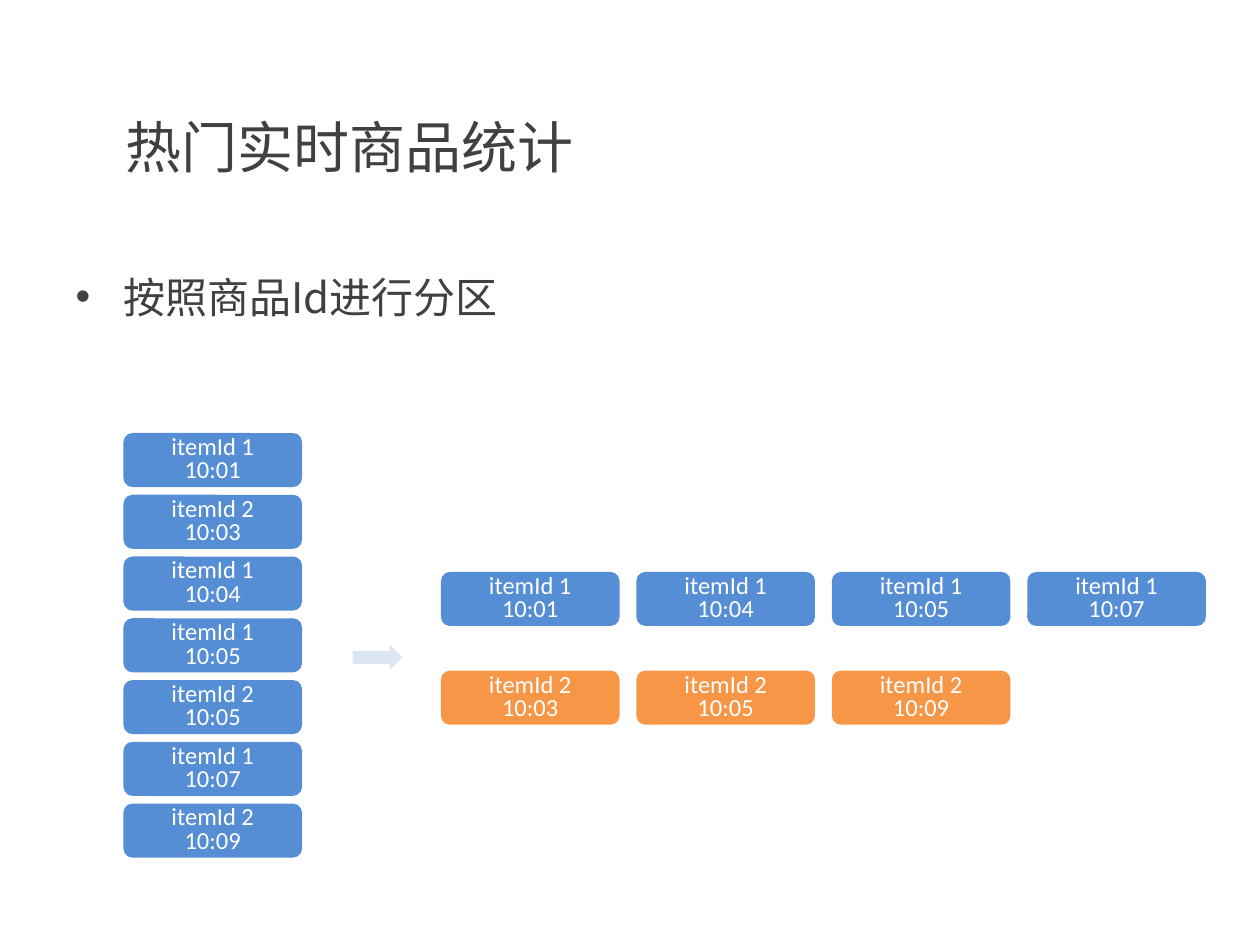
from collections import namedtuple
from copy import deepcopy

from lxml.etree import SubElement
from pptx import Presentation
from pptx.dml.color import RGBColor
from pptx.enum.shapes import MSO_SHAPE as Shape
from pptx.enum.text import MSO_ANCHOR as Anchor, MSO_AUTO_SIZE as AutoSize, PP_ALIGN as Align
from pptx.oxml.ns import qn
from pptx.util import Cm, Pt

Box = namedtuple("Box", "left top width height")

CJK_FONT, LATIN_FONT = "Noto Sans CJK SC", "Calibri"
DARK, WHITE, BLUE, ORANGE, PALE = "404040", "FFFFFF", "558ED5", "F79646", "DCE6F2"
EVENT_WIDTH, EVENT_HEIGHT = 3.6, 1.09
EVENTS = [
    (1, "10:01"), (2, "10:03"), (1, "10:04"), (1, "10:05"),
    (2, "10:05"), (1, "10:07"), (2, "10:09"),
]


def color(hex_value):
    """Turn a hex string into a colour."""
    return RGBColor.from_string(hex_value)


def place(part, box):
    """Move a shape to a box given in centimetres."""
    part.left, part.top, part.width, part.height = map(Cm, box)


def write(part, text, size, font=LATIN_FONT, ink=DARK, align=Align.LEFT,
          anchor=Anchor.MIDDLE, spacing=None, margin=0, indent=0):
    """Write one formatted paragraph; a newline becomes a line break."""
    frame = part.text_frame
    frame.word_wrap = True
    frame.auto_size = AutoSize.NONE
    frame.vertical_anchor = anchor
    paragraph = frame.paragraphs[0]
    paragraph.text = text.replace("\n", "\v")
    paragraph.alignment = align
    if spacing:
        paragraph.line_spacing = spacing
    properties = paragraph._p.get_or_add_pPr()
    properties.set("marL", str(Cm(margin)))
    properties.set("indent", str(Cm(indent)))
    for run in paragraph.runs:
        run.font.size = Pt(size)
        run.font.name = font
        run.font.color.rgb = color(ink)
        SubElement(run._r.rPr, qn("a:ea")).set("typeface", font)
    for line_break in paragraph._p.findall(qn("a:br")):
        line_break.append(deepcopy(paragraph.runs[0]._r.rPr))


def add_block(slide, kind, box, fill):
    """Add a flat filled shape without outline."""
    block = slide.shapes.add_shape(kind, *map(Cm, box))
    block.shadow.inherit = False
    block.fill.solid()
    block.fill.fore_color.rgb = color(fill)
    block.line.fill.background()
    return block


def add_event(slide, left, top, event, fill):
    """Add one event card with its item id and time."""
    item, time = event
    box = Box(left, top, EVENT_WIDTH, EVENT_HEIGHT)
    card = add_block(slide, Shape.ROUNDED_RECTANGLE, box, fill)
    write(card, f"itemId {item}\n{time}", 14, ink=WHITE, align=Align.CENTER, spacing=0.8)


def add_heading(slide, box):
    """Fill the title and the single bullet below it."""
    title, body = slide.shapes.title, slide.placeholders[1]
    place(title, box._replace(height=3.18))
    write(title, "热门实时商品统计", 32, CJK_FONT, indent=1)
    place(body, Box(box.left, box.top + box.height - 2.39, box.width, 2.39))
    write(body, "按照商品Id进行分区", 24, CJK_FONT, anchor=Anchor.TOP,
          spacing=2.0, margin=0.96, indent=-0.96)


def add_stream(slide, box):
    """Stack all events evenly from the top to the bottom of the box."""
    step = (box.height - EVENT_HEIGHT) / (len(EVENTS) - 1)
    for row, event in enumerate(EVENTS):
        add_event(slide, box.left, box.top + row * step, event, BLUE)


def add_partitions(slide, box):
    """Lay out the events in one row per item id."""
    rows = [[event for event in EVENTS if event[0] == item] for item in (1, 2)]
    step_x = (box.width - EVENT_WIDTH) / (max(map(len, rows)) - 1)
    step_y = box.height - EVENT_HEIGHT
    for row, (events, fill) in enumerate(zip(rows, (BLUE, ORANGE))):
        for column, event in enumerate(events):
            add_event(slide, box.left + column * step_x, box.top + row * step_y, event, fill)


def main():
    """Build and save the slide."""
    deck = Presentation()
    deck.slide_width, deck.slide_height = Cm(25.4), Cm(19.05)
    slide = deck.slides.add_slide(deck.slide_layouts[1])
    add_heading(slide, Box(1.27, 1.35, 22.86, 5.36))
    add_stream(slide, Box(2.49, 8.73, EVENT_WIDTH, 8.56))
    add_partitions(slide, Box(8.89, 11.53, 15.42, 3.08))
    add_block(slide, Shape.RIGHT_ARROW, Box(7.11, 13, 1, 0.51), PALE)
    deck.save("out.pptx")


if __name__ == "__main__":
    main()
